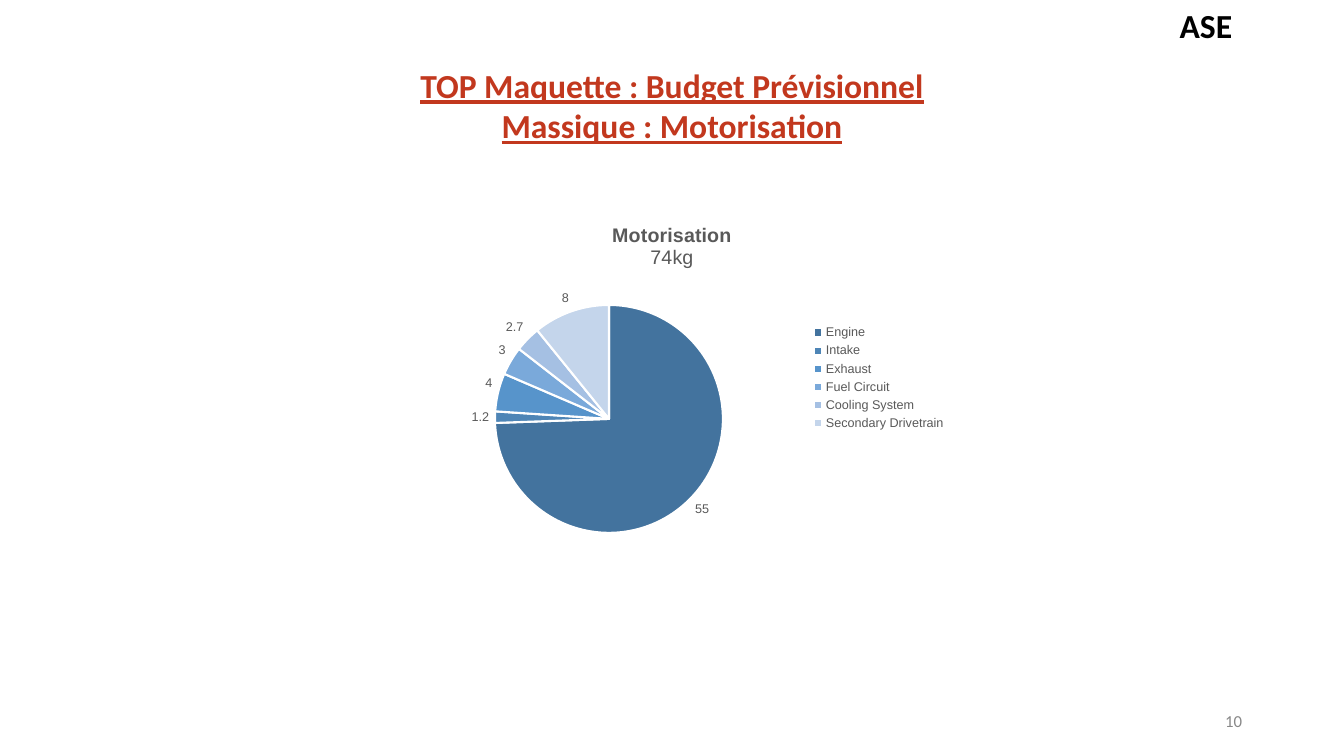
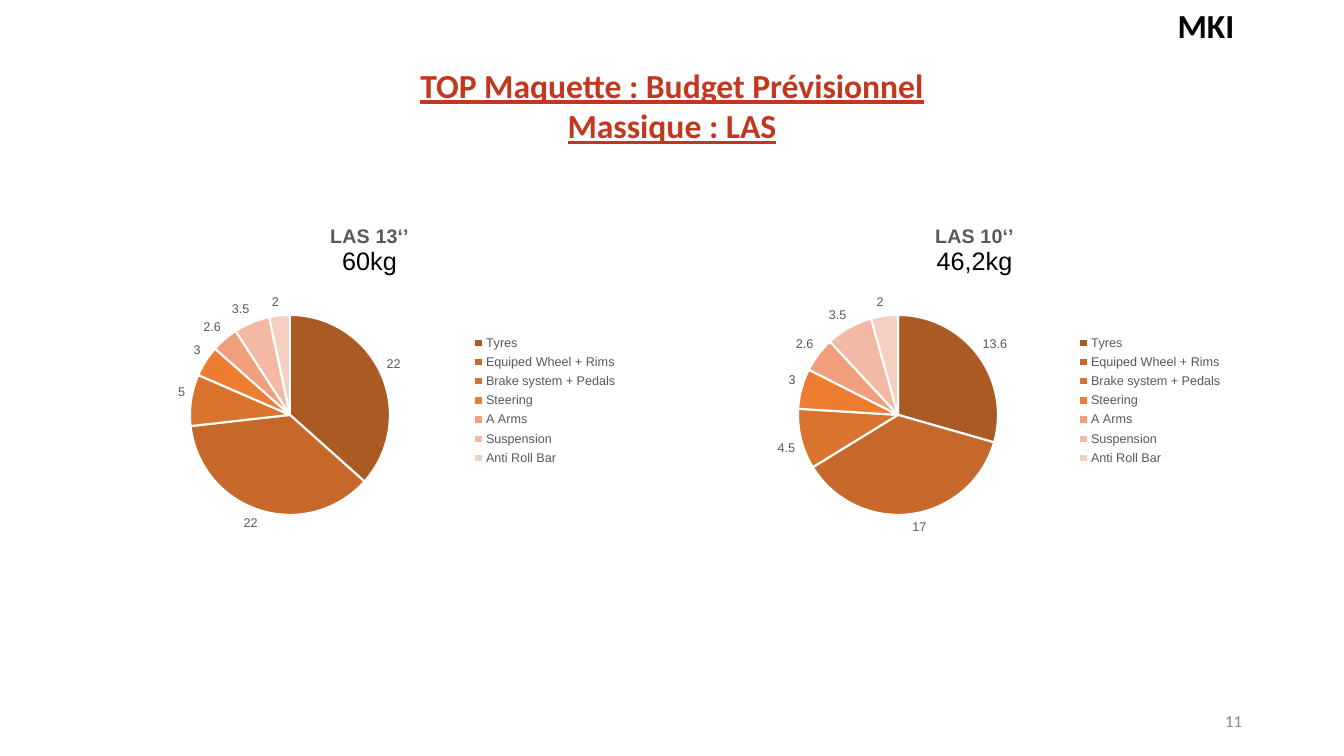
from lxml.etree import SubElement, Element
from pptx import Presentation
from pptx.chart.data import CategoryChartData
from pptx.dml.color import RGBColor
from pptx.enum.chart import XL_CHART_TYPE, XL_LABEL_POSITION, XL_LEGEND_POSITION
from pptx.enum.text import MSO_ANCHOR, MSO_AUTO_SIZE, PP_ALIGN
from pptx.oxml.ns import qn
from pptx.util import Pt

WIDTH, HEIGHT = 1344, 756
SCALE = 12192000 / WIDTH

RED = RGBColor(0xC2, 0x38, 0x1E)
BLACK = RGBColor(0, 0, 0)
WHITE = RGBColor(0xFF, 0xFF, 0xFF)
GREY = RGBColor(0x59, 0x59, 0x59)
PALE = RGBColor(0x88, 0x88, 0x88)
BLUES = [RGBColor.from_string(c) for c in (
    "43739E", "4E85B6", "5794CB", "7AA9DA", "A5C0E3", "C4D5EB")]
RUSTS = [RGBColor.from_string(c) for c in (
    "AB5A23", "C56829", "D9732D", "ED7D31", "F09E7B", "F3B9A4", "F7CEC2")]

MOTOR = ["Engine", "Intake", "Exhaust", "Fuel Circuit", "Cooling System",
         "Secondary Drivetrain"]
LINKS = ["Tyres", "Equiped Wheel + Rims", "Brake system + Pedals", "Steering",
         "A Arms", "Suspension", "Anti Roll Bar"]


def px(*sizes):
    return [round(size * SCALE) for size in sizes]


def style(font, size, color, name="Calibri", bold=False, line=False):
    font.name, font.size, font.bold = name, Pt(size), bold
    font.underline = line
    font.color.rgb = color


def format_text(frame, align, *look):
    for para in frame.paragraphs:
        para.alignment = align
        for run in para.runs:
            style(run.font, *look)


def add_label(slide, box, text, align, anchor, *look):
    frame = slide.shapes.add_textbox(*px(*box)).text_frame
    frame.word_wrap = True
    frame.vertical_anchor = anchor
    frame.text = text
    format_text(frame, align, *look)


def add_page(prs, topic, tag, number):
    """Add a slide with the shared title, author tag and page number."""
    slide = prs.slides.add_slide(prs.slide_layouts[5])
    title = slide.shapes.title
    title.left, title.top, title.width, title.height = px(0, 60, WIDTH, 92)
    frame = title.text_frame
    frame.text = f"TOP Maquette : Budget Prévisionnel\nMassique : {topic}"
    frame.auto_size = MSO_AUTO_SIZE.NONE
    frame.vertical_anchor = MSO_ANCHOR.TOP
    format_text(frame, PP_ALIGN.CENTER, 24, RED, "Calibri", True, True)
    add_label(slide, (1160, 0, 92, 50), tag, PP_ALIGN.CENTER, MSO_ANCHOR.TOP,
              24, BLACK, "Calibri", True)
    add_label(slide, (950, 701, 302, 40), str(number), PP_ALIGN.RIGHT,
              MSO_ANCHOR.MIDDLE, 12, PALE)
    return slide


def place(part, index, area, frame, inner=False):
    """Fix a chart part at area, in px from the corner of the chart frame."""
    for old in part.findall(qn("c:layout")):
        part.remove(old)
    layout = Element(qn("c:layout"))
    part.insert(index, layout)
    manual = SubElement(layout, qn("c:manualLayout"))
    rules = [("layoutTarget", "inner")] if inner else []
    rules += [("xMode", "edge"), ("yMode", "edge")]
    wide, high = frame[2:]
    rules += [(key, f"{size / full:.4f}") for key, size, full
              in zip("xywh", area, (wide, high, wide, high))]
    for key, value in rules:
        SubElement(manual, qn(f"c:{key}")).set("val", value)


def add_pie(slide, frame, heading, mass, names, values, colors, pie, legend,
            mass_size=14, mass_color=GREY):
    data = CategoryChartData()
    data.categories = names
    data.add_series("Series 1", values)
    chart = slide.shapes.add_chart(XL_CHART_TYPE.PIE, *px(*frame), data).chart
    style(chart.font, 10, BLACK, "Arial")

    chart.has_title = True
    title = chart.chart_title
    title.include_in_layout = False
    title.text_frame.text = f"{heading}\n{mass}"
    top, low = title.text_frame.paragraphs
    style(top.runs[0].font, 14, GREY, "Arial", True)
    style(low.runs[0].font, mass_size, mass_color, "Arial")

    chart.has_legend = True
    chart.legend.position = XL_LEGEND_POSITION.RIGHT
    chart.legend.include_in_layout = False
    style(chart.legend.font, 9, GREY, "Arial")

    plot = chart.plots[0]
    plot.vary_by_categories = True
    plot.has_data_labels = True
    labels = plot.data_labels
    labels.show_value = True
    labels.show_percentage = False
    labels.position = XL_LABEL_POSITION.OUTSIDE_END
    style(labels.font, 9, GREY, "Arial")
    for index, color in enumerate(colors):
        form = plot.series[0].points[index].format
        form.fill.solid()
        form.fill.fore_color.rgb = color
        form.line.color.rgb = WHITE
        form.line.width = Pt(1.5)

    root = chart.element
    place(root.find(".//" + qn("c:plotArea")), 0, pie, frame, True)
    place(root.find(".//" + qn("c:legend")), 1, legend, frame)


def main():
    prs = Presentation()
    prs.slide_width, prs.slide_height = px(WIDTH, HEIGHT)

    slide = add_page(prs, "Motorisation", "ASE", 10)
    add_pie(slide, (392, 207, 560, 343), "Motorisation", "74kg", MOTOR,
            (55, 1.2, 4, 3, 2.7, 8), BLUES,
            (103, 98, 228, 228), (416, 115, 142, 112))

    slide = add_page(prs, "LAS", "MKI", 11)
    for left, inch, mass, values, start in (
            (89, 13, "60kg", (22, 22, 5, 3, 2.6, 3.5, 2), 101),
            (694, 10, "46,2kg", (13.6, 17, 4.5, 3, 2.6, 3.5, 2), 104)):
        add_pie(slide, (left, 208, 561, 341), f"LAS {inch}‘’", mass, LINKS,
                values, RUSTS, (start, 107, 200, 200), (376, 123, 160, 139),
                18, BLACK)

    prs.save("out.pptx")


if __name__ == "__main__":
    main()
